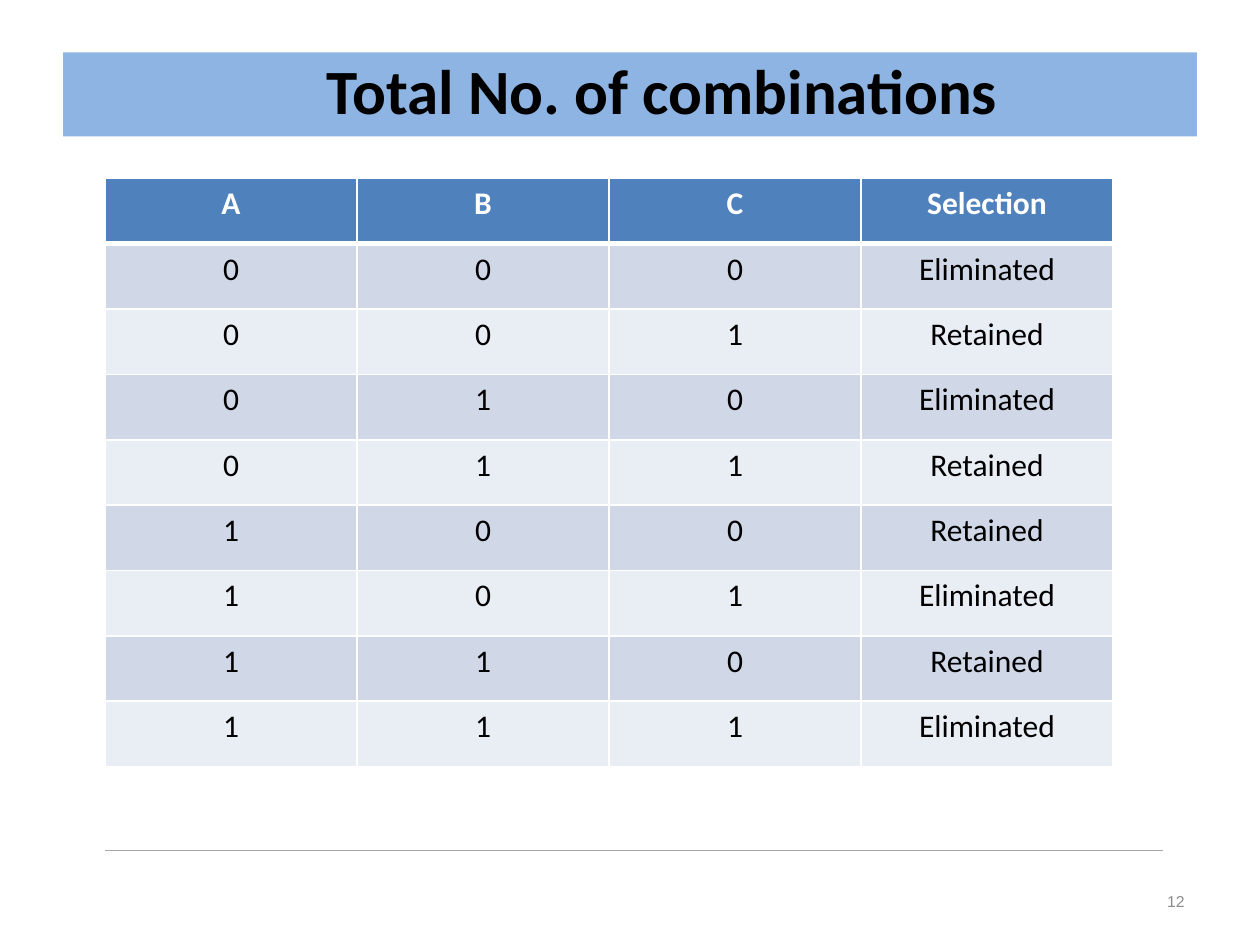
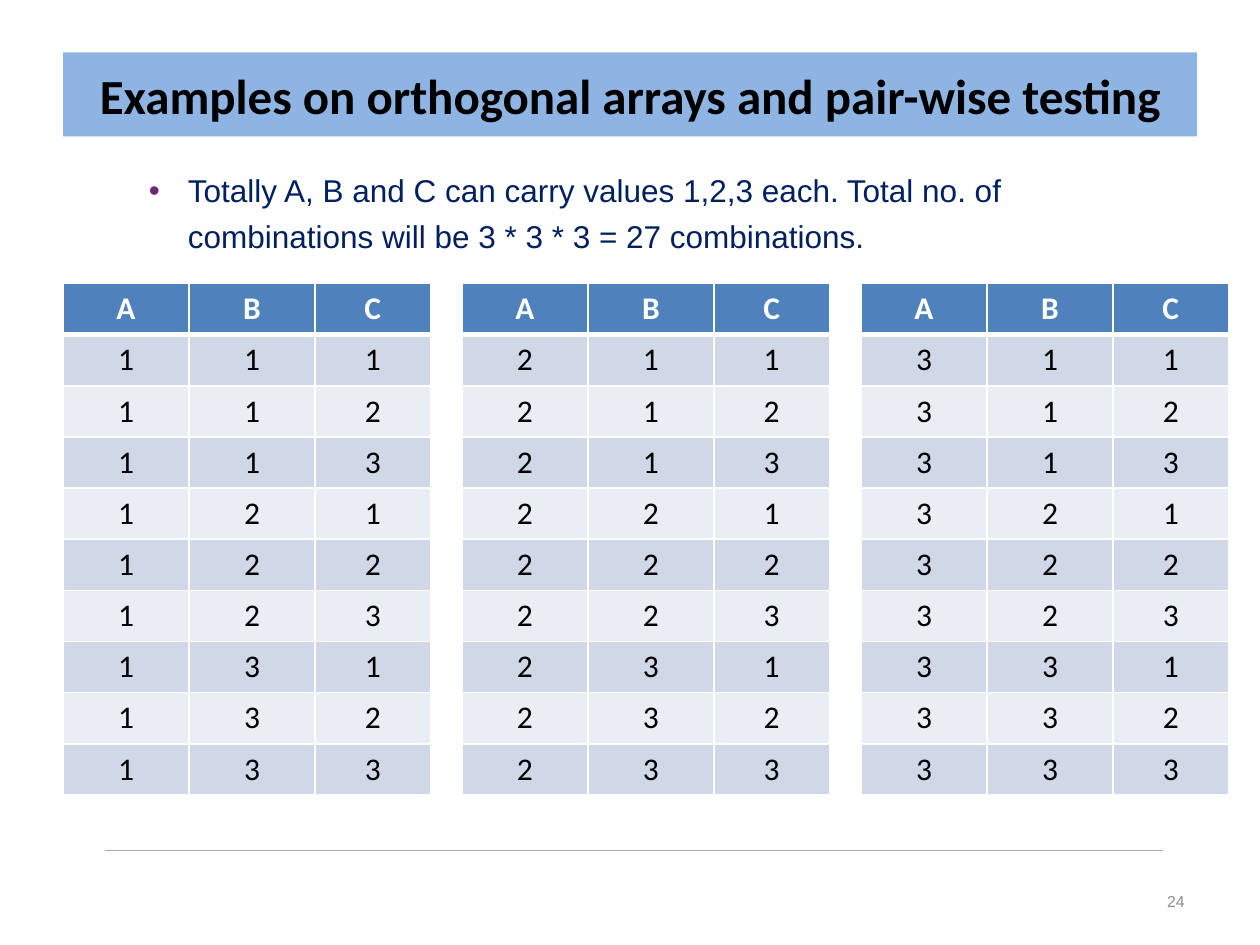
"""Build two slides on combinations and pair-wise testing."""
from itertools import product

from lxml import etree
from pptx import Presentation
from pptx import util as u
from pptx.dml.color import RGBColor
from pptx.enum import shapes, text
from pptx.oxml import ns

WHITE = RGBColor(0xFF, 0xFF, 0xFF)
BLACK = RGBColor(0x00, 0x00, 0x00)
BAND = RGBColor(0x8E, 0xB4, 0xE3)
HEADER = RGBColor(0x4F, 0x81, 0xBD)
STRIPES = RGBColor(0xD0, 0xD8, 0xE8), RGBColor(0xE9, 0xED, 0xF4)
RULE = RGBColor(0xA6, 0xA6, 0xA6)
NUMBER = RGBColor(0x8C, 0x8C, 0x8C)
NAVY = RGBColor(0x00, 0x20, 0x60)
BULLET = RGBColor(0x6E, 0x26, 0x7B)

COLUMNS, ROWS = 120, 90
LEFT, CENTER, RIGHT = text.PP_ALIGN.LEFT, text.PP_ALIGN.CENTER, text.PP_ALIGN.RIGHT
SELECTIONS = ("Eliminated", "Retained", "Eliminated", "Retained",
              "Retained", "Eliminated", "Retained", "Eliminated")


def assign(target, values):
    """Set each named attribute of the target."""
    for name, value in values.items():
        setattr(target, name, value)


def add_solid_fill(parent, color):
    """Append a solid fill to an XML element."""
    fill = etree.SubElement(parent, ns.qn("a:solidFill"))
    etree.SubElement(fill, ns.qn("a:srgbClr"), val=str(color))


class Deck:
    """Hold the shared style and the current slide."""

    def __init__(self):
        """Open an empty deck with a fine square grid."""
        self.deck = Presentation()
        assign(self.deck, {"slide_width": u.Inches(10), "slide_height": u.Inches(7.5)})
        self.slide = None

    def across(self, columns):
        """Turn grid columns into a length."""
        return round(self.deck.slide_width * columns / COLUMNS)

    def down(self, rows):
        """Turn grid rows into a length."""
        return round(self.deck.slide_height * rows / ROWS)

    def box(self, left, top, width, height):
        """Turn a grid box into slide lengths."""
        return self.across(left), self.down(top), self.across(width), self.down(height)

    def paragraph(self, frame, words, size, color, font="Calibri", bold=False, **layout):
        """Fill a frame with one formatted paragraph and return it."""
        paragraph = frame.paragraphs[0]
        assign(paragraph, layout)
        run = paragraph.add_run()
        run.text = words
        assign(run.font, {"size": u.Pt(size), "name": font, "bold": bold})
        run.font.color.rgb = color
        return paragraph

    def new_slide(self, title, size, number, **title_format):
        """Start a slide with its title band, rule and number."""
        self.slide = self.deck.slides.add_slide(self.deck.slide_layouts[5])
        self.title(title, size, **title_format)
        self.rule(10, 81, 110.8)
        self.number(number)

    def title(self, words, size, inset=0.1, spacing=1.0):
        """Place the title on its coloured band."""
        band = self.slide.shapes.title
        left, top, width, height = self.box(6, 5, 108, 8)
        assign(band, {"left": left, "top": top, "width": width, "height": height})
        band.fill.solid()
        band.fill.fore_color.rgb = BAND
        assign(band.text_frame, {"auto_size": text.MSO_AUTO_SIZE.NONE, "word_wrap": True,
                                 "vertical_anchor": text.MSO_ANCHOR.MIDDLE,
                                 "margin_left": u.Inches(inset)})
        self.paragraph(band.text_frame, words, size, BLACK, bold=True,
                       alignment=CENTER, line_spacing=spacing)

    def rule(self, start, row, end):
        """Draw a thin horizontal line."""
        line = self.slide.shapes.add_connector(
            shapes.MSO_CONNECTOR.STRAIGHT, self.across(start), self.down(row),
            self.across(end), self.down(row))
        line.line.color.rgb = RULE
        line.line.width = u.Pt(0.75)
        etree.SubElement(line._element.spPr, ns.qn("a:effectLst"))

    def number(self, value):
        """Place the slide number at the lower right."""
        frame = self.slide.shapes.add_textbox(*self.box(86, 83.4, 28, 4.8)).text_frame
        assign(frame, {"word_wrap": True, "vertical_anchor": text.MSO_ANCHOR.MIDDLE})
        self.paragraph(frame, str(value), 9, NUMBER, "Arial", alignment=RIGHT)

    def bullet(self, words, *place):
        """Place one bulleted paragraph."""
        frame = self.slide.shapes.add_textbox(*self.box(*place)).text_frame
        assign(frame, {"word_wrap": True, "margin_right": u.Inches(0.75)})
        paragraph = self.paragraph(frame, words, 18, NAVY, "Arial", alignment=LEFT,
                                   line_spacing=1.2, space_before=u.Pt(8.4))
        props = paragraph._p.get_or_add_pPr()
        props.set("marL", str(u.Inches(0.81)))
        props.set("indent", str(u.Inches(-0.31)))
        color = etree.SubElement(props, ns.qn("a:buClr"))
        etree.SubElement(color, ns.qn("a:srgbClr"), val=str(BULLET))
        etree.SubElement(props, ns.qn("a:buFont"), typeface="Arial")
        etree.SubElement(props, ns.qn("a:buChar"), char="•")

    def borders(self, cell, row):
        """Draw white cell borders, heavier under the header."""
        widths = {"L": 1, "R": 1, "T": 3 if row == 1 else 1, "B": 3 if row == 0 else 1}
        props = cell._tc.get_or_add_tcPr()
        for side, width in widths.items():
            edge = etree.SubElement(props, ns.qn(f"a:ln{side}"), w=str(u.Pt(width)))
            add_solid_fill(edge, WHITE)

    def table(self, records, left, top, widths, height):
        """Draw a striped table whose first record is the header."""
        place = self.box(left, top, sum(widths), height)
        grid = self.slide.shapes.add_table(len(records), len(widths), *place).table
        grid.horz_banding = False
        for column, width in zip(grid.columns, widths):
            column.width = self.across(width)
        for row, record in enumerate(records):
            grid.rows[row].height = self.down(height / len(records))
            for column, value in enumerate(record):
                cell = grid.cell(row, column)
                self.borders(cell, row)
                cell.fill.solid()
                cell.fill.fore_color.rgb = STRIPES[(row - 1) % 2] if row else HEADER
                self.paragraph(cell.text_frame, str(value), 18, BLACK if row else WHITE,
                               bold=row == 0, alignment=CENTER)


def main():
    """Build both slides and save them."""
    deck = Deck()
    factors = ("A", "B", "C")

    deck.new_slide("Total No. of combinations", 36, 12, inset=0.61, spacing=0.9)
    choices = [(*bits, choice) for bits, choice in zip(product((0, 1), repeat=3), SELECTIONS)]
    deck.table([(*factors, "Selection"), *choices], 10, 17, [24] * 4, 56)

    deck.new_slide("Examples on orthogonal arrays and pair-wise testing", 28, 24)
    deck.bullet("Totally A, B and C can carry values 1,2,3 each. Total no. of "
                "combinations will be 3 * 3 * 3 = 27 combinations.", 7, 15, 108, 66)
    levels = (1, 2, 3)
    for position, first in enumerate(levels):
        combinations = list(product((first,), levels, levels))
        deck.table([factors, *combinations], 6 + 38 * position, 27, (12, 12, 11), 48.75)

    deck.deck.save("out.pptx")


if __name__ == "__main__":
    main()
